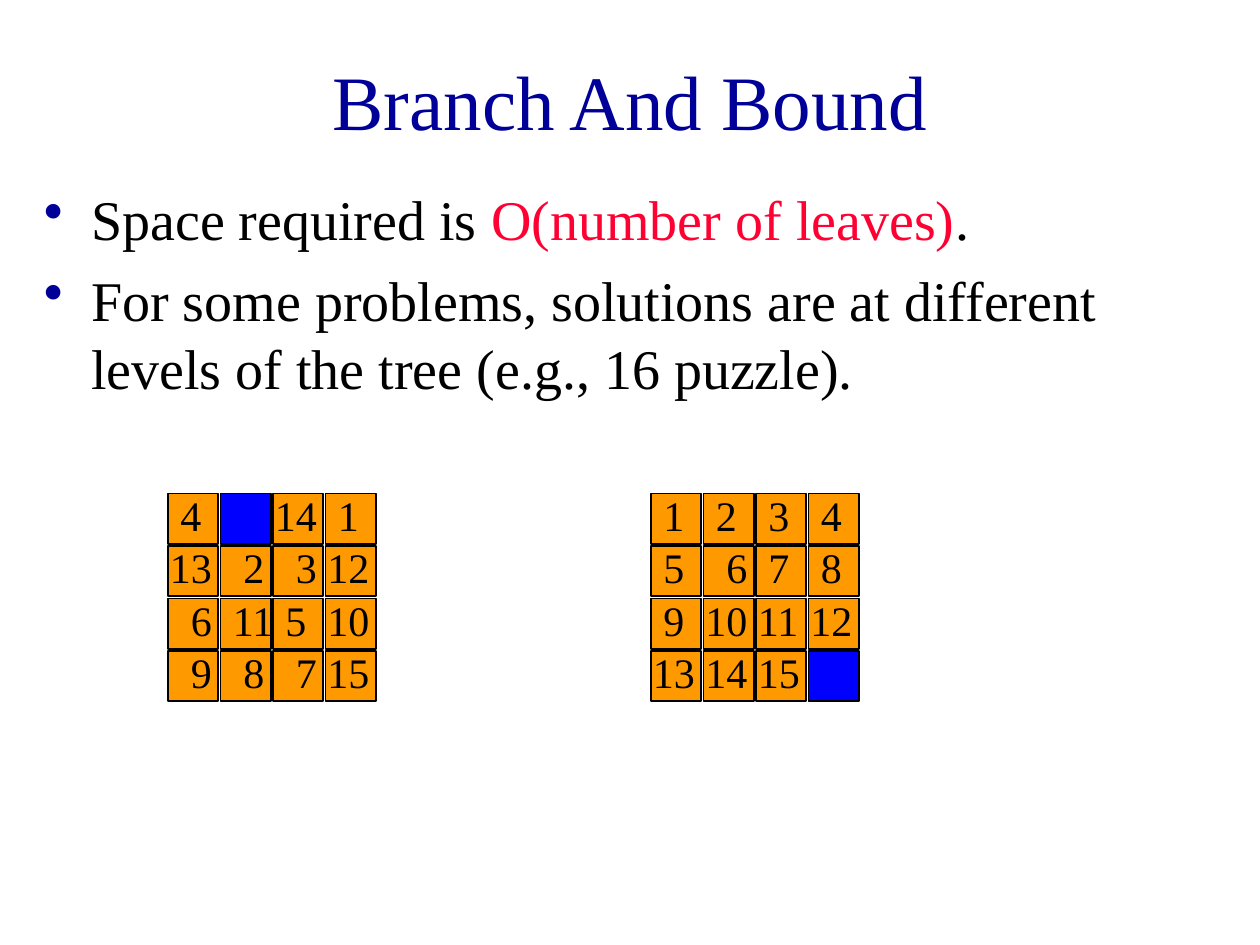
from pptx import Presentation, util as u
from pptx.dml.color import RGBColor
from pptx.enum import shapes, text
from pptx.oxml import parse_xml
from pptx.oxml.ns import nsdecls

PX = 7620  # 120 px to the inch
NAVY, BLACK, RED, ORANGE, BLUE = "000099", "000000", "FF0033", "FF9900", "0000FF"


def color(value):
    return RGBColor.from_string(value)


def add_text(slide, box, paragraphs, size, **frame_format):
    """Add a text box; each paragraph is a list of (wording, colour) runs."""
    frame = slide.shapes.add_textbox(*(v * PX for v in box)).text_frame
    for name, value in {"word_wrap": True, **frame_format}.items():
        setattr(frame, name, value)
    for index, runs in enumerate(paragraphs):
        paragraph = frame.paragraphs[0] if index == 0 else frame.add_paragraph()
        for wording, shade in runs:
            run = paragraph.add_run()
            run.text = wording
            font_format = {"name": "Times New Roman", "size": u.Pt(size)}
            for name, value in font_format.items():
                setattr(run.font, name, value)
            run.font.color.rgb = color(shade)
    return frame


presentation = Presentation()
presentation.slide_width, presentation.slide_height = 1200 * PX, 900 * PX
slide = presentation.slides.add_slide(presentation.slide_layouts[6])

# Title
title = add_text(slide, (90, 20, 1020, 150), [[("Branch And Bound", NAVY)]], 44,
                 vertical_anchor=text.MSO_ANCHOR.MIDDLE)
title.paragraphs[0].alignment = text.PP_ALIGN.CENTER

# Bulleted statements
statements = [
    [("Space required is ", BLACK), ("O(number of leaves)", RED), (".", BLACK)],
    [("For some problems, solutions are at different levels of the tree "
      "(e.g., 16 puzzle).", BLACK)],
]
body = add_text(slide, (30, 170, 1140, 250), statements, 32)
for index, paragraph in enumerate(body.paragraphs):
    properties = paragraph._p.get_or_add_pPr()
    properties.set("marL", str(45 * PX))
    properties.set("indent", str(-45 * PX))
    properties.append(parse_xml(
        f'<a:buClr {nsdecls("a")}><a:srgbClr val="{NAVY}"/></a:buClr>'))
    properties.append(parse_xml(f'<a:buChar {nsdecls("a")} char="•"/>'))
    if index:
        paragraph.space_before = u.Pt(8)

# Sliding puzzles: left edge, numbers by row (0 is the gap), right-shifted numbers
TOP, PITCH, TILE = 470, 50, 48
puzzles = [
    (620, [[1, 2, 3, 4], [5, 6, 7, 8], [9, 10, 11, 12], [13, 14, 15, 0]], {6}),
    (160, [[4, 0, 14, 1], [13, 2, 3, 12], [6, 11, 5, 10], [9, 8, 7, 15]],
     {2, 3, 6, 7, 8, 9, 11}),
]
for left, rows, shifted in puzzles:
    cells = [(number, left + column * PITCH, TOP + row * PITCH)
             for row, numbers in enumerate(rows)
             for column, number in enumerate(numbers)]

    # Tiles
    for number, x, y in cells:
        tile = slide.shapes.add_shape(shapes.MSO_SHAPE.RECTANGLE,
                                      x * PX, y * PX, TILE * PX, TILE * PX)
        tile.shadow.inherit = False
        tile.fill.solid()
        tile.fill.fore_color.rgb = color(ORANGE if number else BLUE)
        tile.line.color.rgb = color(BLACK)
        tile.line.width = u.Pt(1)

    # Numbers
    for number, x, y in cells:
        if number:
            wide = number > 9
            x += 10 * (number in shifted) - 10 * wide
            add_text(slide, (x, y - 10, 90 if wide else 40, 60),
                     [[(str(number), BLACK)]], 24)

presentation.save("out.pptx")
